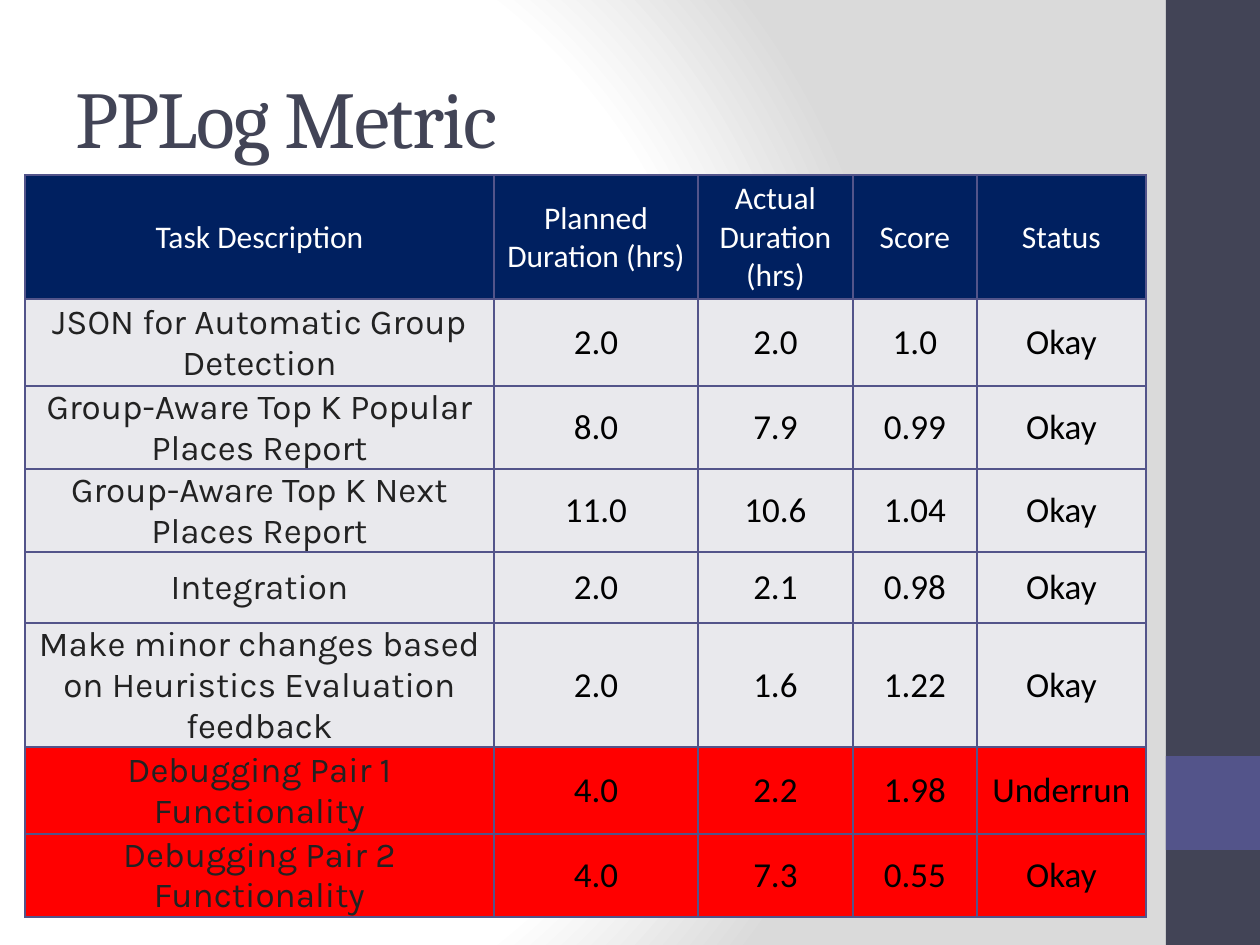
from lxml.etree import SubElement
from pptx import Presentation
from pptx.dml.color import RGBColor
from pptx.enum.shapes import MSO_SHAPE as Shape
from pptx.enum.text import MSO_ANCHOR as Anchor, PP_ALIGN as Align
from pptx.oxml import parse_xml
from pptx.oxml.ns import nsdecls, qn
from pptx.util import Emu, Pt

PX = 914400 // 126
COLORS = {
    "white": "FFFFFF", "black": "000000", "gray": "DADADA", "slate": "424456",
    "violet": "53548A", "navy": "002060", "pale": "E9E9ED", "red": "FF0000",
    "ink": "222222",
}
HEADER = ["Task Description", "Planned Duration (hrs)", "Actual Duration (hrs)",
          "Score", "Status"]
TASKS = [
    ["JSON for Automatic Group Detection", "2.0", "2.0", "1.0", "Okay"],
    ["Group-Aware Top K Popular Places Report", "8.0", "7.9", "0.99", "Okay"],
    ["Group-Aware Top K Next Places Report", "11.0", "10.6", "1.04", "Okay"],
    ["Integration", "2.0", "2.1", "0.98", "Okay"],
    ["Make minor changes based on Heuristics Evaluation feedback",
     "2.0", "1.6", "1.22", "Okay"],
    ["Debugging Pair 1 Functionality", "4.0", "2.2", "1.98", "Underrun"],
    ["Debugging Pair 2 Functionality", "4.0", "7.3", "0.55", "Okay"],
]
COLUMN_WIDTHS = [469, 204, 155, 124, 169]
ROW_HEIGHTS = [124, 87, 83, 83, 71, 124, 87, 83]


def px(length):
    return Emu(length * PX)


def rgb(name):
    return RGBColor.from_string(COLORS[name])


def write(frame, text, font="Calibri", size=20, color="black",
          align=Align.CENTER, spacing=None):
    """Fill a text frame with one formatted paragraph; spacing is in points."""
    para = frame.paragraphs[0]
    para.alignment = align
    span = para.add_run()
    span.text = text
    span.font.name, span.font.size, span.font.bold = font, Pt(size), False
    span.font.color.rgb = rgb(color)
    if spacing is not None:
        span.font._element.set("spc", str(spacing * 100))


class SlideBuilder:
    def __init__(self, deck, border="violet"):
        self.page = deck.slides.add_slide(deck.slide_layouts[5])
        self.border = border

    def background(self, inner, outer):
        """Radial gradient that stays on the inner colour up to 75 %."""
        stops = "".join(
            f'<a:gs pos="{percent * 1000}"><a:srgbClr val="{COLORS[name]}"/></a:gs>'
            for percent, name in [(0, inner), (75, inner), (100, outer)])
        self.page.element.find(qn("p:cSld")).insert(0, parse_xml(
            f'<p:bg {nsdecls("p", "a")}><p:bgPr><a:gradFill rotWithShape="1">'
            f'<a:gsLst>{stops}</a:gsLst><a:path path="circle">'
            '<a:fillToRect l="20000" t="50000" r="100000" b="50000"/></a:path>'
            '</a:gradFill><a:effectLst/></p:bgPr></p:bg>'))

    def bar(self, left, top, width, height, color):
        box = self.page.shapes.add_shape(
            Shape.RECTANGLE, *map(px, (left, top, width, height)))
        box.shadow.inherit = False
        box.fill.solid()
        box.fill.fore_color.rgb = rgb(color)
        box.line.fill.background()

    def title(self, text, left, top, width, height):
        box = self.page.shapes.title
        box.left, box.top, box.width, box.height = map(px, (left, top, width, height))
        box.text_frame.vertical_anchor = Anchor.MIDDLE
        write(box.text_frame, text, font="Cambria", size=46, color="slate",
              align=Align.LEFT, spacing=-1)

    def table(self, left, top, widths, heights):
        table = self.page.shapes.add_table(
            len(heights), len(widths), px(left), px(top),
            px(sum(widths)), px(sum(heights))).table
        table.first_row = table.horz_banding = False
        for column, width in zip(table.columns, widths):
            column.width = px(width)
        for row, height in zip(table.rows, heights):
            row.height = px(height)
        return table

    def cell(self, cell, text, fill, **style):
        cell.vertical_anchor = Anchor.MIDDLE
        cell.margin_left = cell.margin_right = cell.margin_top = px(1)
        cell.margin_bottom = 0
        write(cell.text_frame, text, **style)
        properties = cell._tc.get_or_add_tcPr()
        for side in ("lnL", "lnR", "lnT", "lnB"):
            line = SubElement(properties, qn(f"a:{side}"), w=str(Pt(1)))
            solid = SubElement(line, qn("a:solidFill"))
            SubElement(solid, qn("a:srgbClr"), val=COLORS[self.border])
        cell.fill.solid()
        cell.fill.fore_color.rgb = rgb(fill)


def main():
    deck = Presentation()
    deck.slide_width, deck.slide_height = px(1260), px(945)
    slide = SlideBuilder(deck)
    slide.background("white", "gray")
    slide.bar(1166, 0, 94, 945, "slate")
    slide.bar(1166, 756, 94, 94, "violet")
    slide.title("PPLog Metric", 63, 38, 1050, 157)

    table = slide.table(25, 175, COLUMN_WIDTHS, ROW_HEIGHTS)
    for column, heading in enumerate(HEADER):
        slide.cell(table.cell(0, column), heading, "navy", size=18, color="white")
    for row, task in enumerate(TASKS, start=1):
        fill = "red" if task[0].startswith("Debugging") else "pale"
        name, *values = task
        slide.cell(table.cell(row, 0), name, fill, font="Karla", color="ink")
        for column, value in enumerate(values, start=1):
            slide.cell(table.cell(row, column), value, fill)
    deck.save("out.pptx")


if __name__ == "__main__":
    main()
